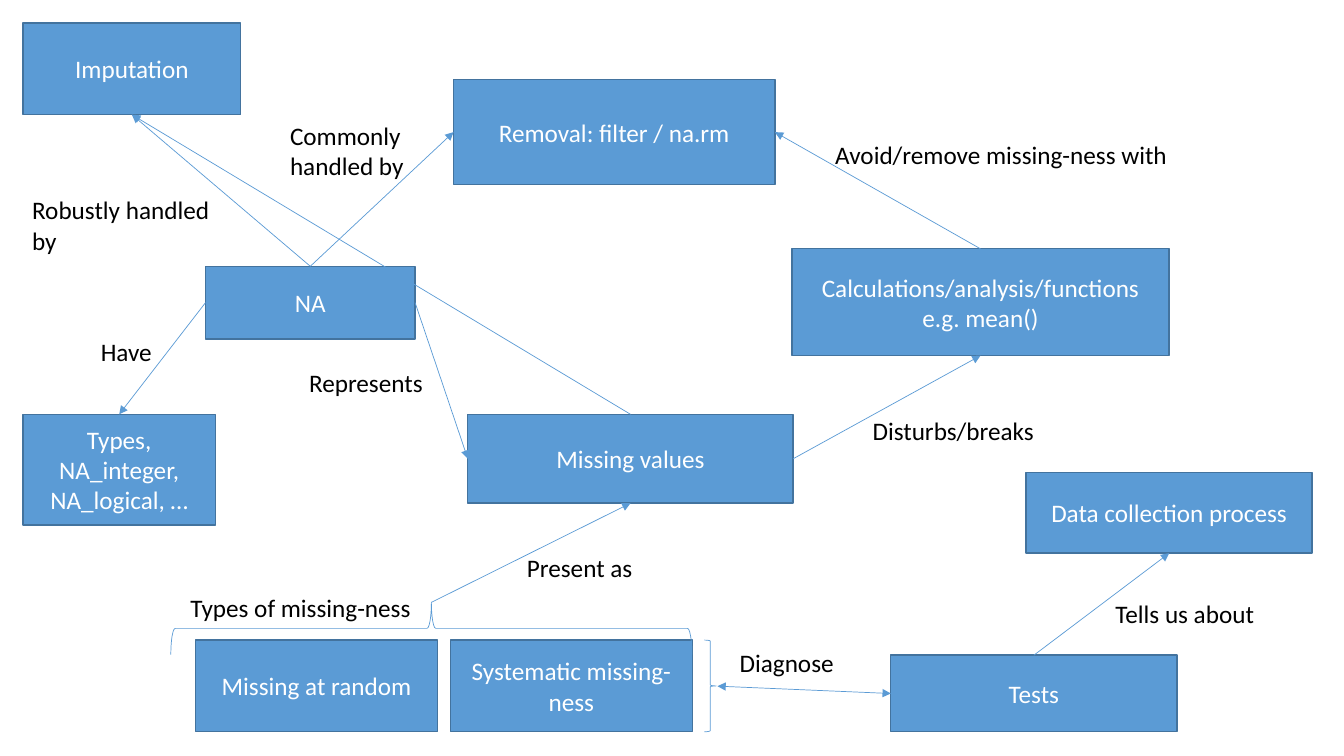
"""Build a concept map of missing values on one slide."""
from lxml.etree import SubElement
from pptx import Presentation
from pptx.dml.color import RGBColor
from pptx.enum.shapes import MSO_CONNECTOR as Link, MSO_SHAPE as Kind
from pptx.enum.text import MSO_ANCHOR as Anchor, MSO_AUTO_SIZE as Fit, PP_ALIGN as Align
from pptx.oxml.ns import qn
from pptx.util import Cm, Pt

BLUE = RGBColor(0x5B, 0x9B, 0xD5)
EDGE = RGBColor(0x43, 0x73, 0x9E)
WHITE = RGBColor(255, 255, 255)
BLACK = RGBColor(0, 0, 0)

BOXES = {
    "na": ("NA", 5.18, 6.71, 5.28, 1.83),
    "missing": ("Missing values", 11.79, 10.44, 8.2, 2.24),
    "calc": ("Calculations/analysis/functions e.g. mean()", 19.96, 6.27, 9.5, 2.69),
    "removal": ("Removal: filter / na.rm", 11.43, 2.01, 8.1, 2.64),
    "random": ("Missing at random", 4.93, 16.13, 6.1, 2.31),
    "system": ("Systematic missing-ness", 11.35, 16.13, 6.1, 2.31),
    "data": ("Data collection process", 25.86, 11.91, 7.21, 2.03),
    "tests": ("Tests", 22.45, 16.51, 7.21, 1.93),
    "types": ("Types, NA_integer, NA_logical, …", 0.58, 10.44, 4.85, 2.79),
    "impute": ("Imputation", 0.58, 0.58, 5.49, 2.31),
}
BRACES = [
    (Kind.LEFT_BRACE, 10.21, 9.27, 1.32, 13.13, 90),
    (Kind.RIGHT_BRACE, 17.75, 16.13, 0.3, 2.31, 0),
]
TIPS = {"kinds": (10.87, 15.18), "pair": (18.08, 17.29)}
ARROWS = [
    ("na", "right", "missing", "left"),
    ("missing", "right", "calc", "bottom"),
    ("calc", "top", "removal", "right"),
    ("na", "top", "removal", "left"),
    ("kinds", None, "missing", "bottom"),
    ("pair", None, "tests", "left"),
    ("tests", "top", "data", "bottom"),
    ("na", "left", "types", "top"),
    ("na", "top", "impute", "bottom"),
    ("missing", "top", "impute", "bottom"),
]
TWO_WAY = {"pair"}
LABELS = [
    ("Represents", 7.54, 9.14, 4.32, 1),
    ("Avoid/remove missing-ness with", 20.8, 3.38, 9.3, 1),
    ("Disturbs/breaks", 21.74, 10.34, 4.93, 1),
    ("Commonly handled by", 7.06, 2.9, 5.31, 2),
    ("Present as", 13.03, 13.79, 4.32, 1),
    ("Diagnose", 18.39, 16.18, 4.32, 1),
    ("Types of missing-ness", 4.55, 14.81, 6.48, 1),
    ("Tells us about", 27.86, 14.94, 4.47, 1),
    ("Have", 2.29, 8.36, 5.31, 1),
    ("Robustly handled by", 0.56, 4.78, 5.31, 2),
]
SIDES = {"top": (0, 0.5, 0), "left": (1, 0, 0.5),
         "bottom": (2, 0.5, 1), "right": (3, 1, 0.5)}
FONT = {"name": "Calibri", "size": Pt(18)}
BOX_TEXT = {"word_wrap": True, "vertical_anchor": Anchor.MIDDLE}
LABEL_TEXT = {"word_wrap": True, "auto_size": Fit.SHAPE_TO_FIT_TEXT}


def apply(item, form):
    for name, value in form.items():
        setattr(item, name, value)


def write(shape, text, form, tint, align):
    frame = shape.text_frame
    apply(frame, form)
    para = frame.paragraphs[0]
    para.alignment = align
    run = para.add_run()
    run.text = text
    apply(run.font, FONT)
    run.font.color.rgb = tint


def stroke(item, tint, width):
    item.line.color.rgb = tint
    item.line.width = Pt(width)


def spot(name, side):
    if name in TIPS:
        return TIPS[name]
    _, left, top, width, height = BOXES[name]
    _, across, down = SIDES[side]
    return left + across * width, top + down * height


deck = Presentation()
deck.slide_width, deck.slide_height = Cm(33.87), Cm(19.05)
shapes = deck.slides.add_slide(deck.slide_layouts[6]).shapes

made = {}
for name, (text, *area) in BOXES.items():
    box = made[name] = shapes.add_shape(Kind.RECTANGLE, *map(Cm, area))
    box.shadow.inherit = False
    box.fill.solid()
    box.fill.fore_color.rgb = BLUE
    stroke(box, EDGE, 1)
    write(box, text, BOX_TEXT, WHITE, Align.CENTER)

for kind, *area, turn in BRACES:
    brace = shapes.add_shape(kind, *map(Cm, area))
    brace.shadow.inherit = False
    brace.rotation = turn
    brace.fill.background()
    stroke(brace, BLUE, 0.5)

for start, out, end, into in ARROWS:
    ends = spot(start, out) + spot(end, into)
    arrow = shapes.add_connector(Link.STRAIGHT, *map(Cm, ends))
    if start in made:
        arrow.begin_connect(made[start], SIDES[out][0])
    arrow.end_connect(made[end], SIDES[into][0])
    stroke(arrow, BLUE, 0.5)
    line = arrow.line._get_or_add_ln()
    for tag in ("a:headEnd", "a:tailEnd"):
        if tag == "a:tailEnd" or start in TWO_WAY:
            SubElement(line, qn(tag), type="triangle")
    SubElement(arrow._element.spPr, qn("a:effectLst"))

for text, left, top, width, rows in LABELS:
    area = left, top, width, 0.26 + 0.77 * rows
    label = shapes.add_textbox(*map(Cm, area))
    write(label, text, LABEL_TEXT, BLACK, Align.LEFT)

deck.save("out.pptx")
